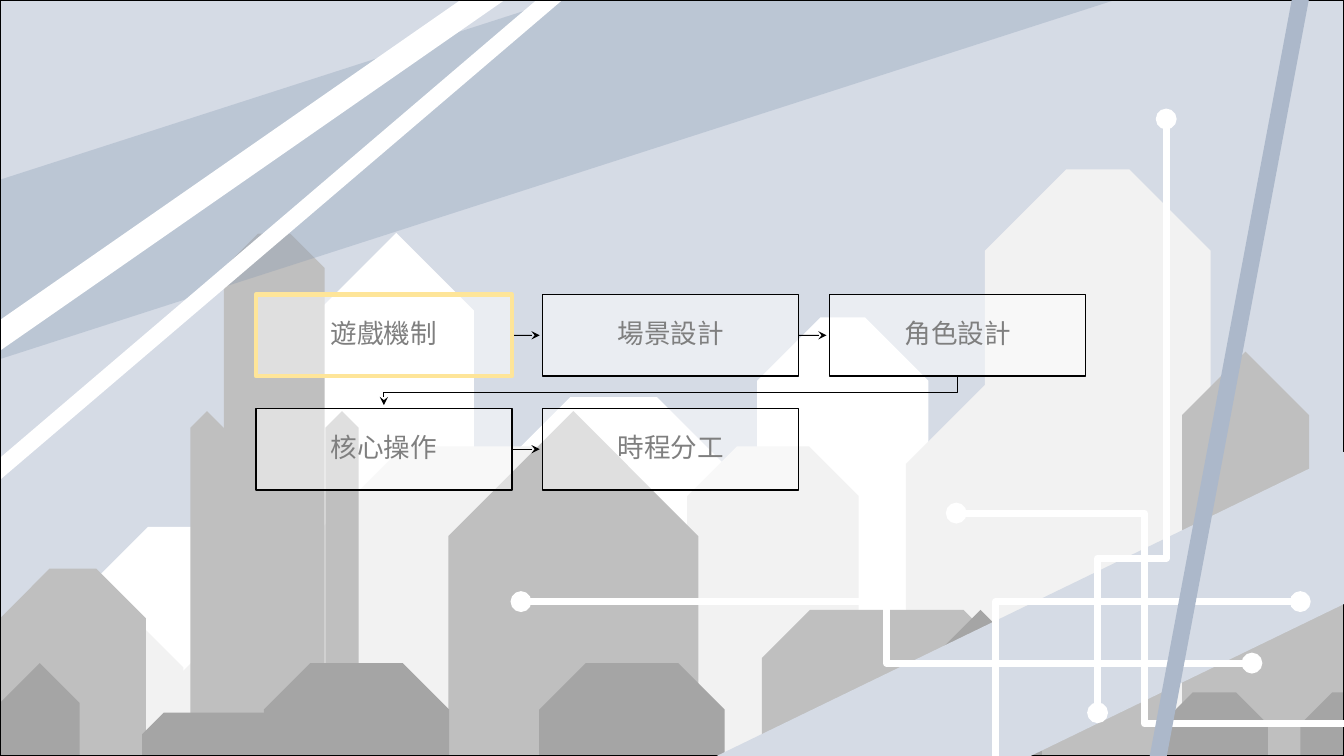
from dataclasses import dataclass

from lxml import etree
from pptx import Presentation
from pptx.dml.color import RGBColor
from pptx.enum.shapes import MSO_CONNECTOR, MSO_SHAPE
from pptx.enum.text import MSO_ANCHOR, PP_ALIGN
from pptx.oxml.ns import qn
from pptx.shapes.autoshape import Shape
from pptx.shapes.connector import Connector
from pptx.slide import Slide
from pptx.util import Cm, Pt

SKY = RGBColor(0xD5, 0xDB, 0xE5)
HAZE = RGBColor(0x82, 0x96, 0xB0)
BEAM = RGBColor(0xAC, 0xB8, 0xCA)
WHITE = RGBColor(0xFF, 0xFF, 0xFF)
PALE = RGBColor(0xF2, 0xF2, 0xF2)
GREY = RGBColor(0xBF, 0xBF, 0xBF)
DARK = RGBColor(0xA5, 0xA5, 0xA5)
BLACK = RGBColor(0x00, 0x00, 0x00)
TEXT = RGBColor(0x7F, 0x7F, 0x7F)
HIGHLIGHT = RGBColor(0xFE, 0xE5, 0x99)

FONT = "Noto Sans CJK TC"
PAGE_WIDTH, PAGE_HEIGHT = 33.87, 19.05
BOX_WIDTH, BOX_HEIGHT = 6.45, 2.06
BOX_LEFT, BOX_TOP = 6.45, 7.42
COLUMN_PITCH, ROW_PITCH, COLUMNS = 7.23, 2.87, 3
ARROW_GAP = 0.08
STEPS = ["遊戲機制", "場景設計", "角色設計", "核心操作", "時程分工"]


@dataclass
class Area:
    left: float
    top: float
    width: float
    height: float


@dataclass
class Building:
    left: float
    top: float
    width: float
    snip: float = 0.5


@dataclass
class Stripe:
    area: Area
    cut: float
    color: RGBColor
    opacity: int = 100
    rotation: int = 0


@dataclass
class Route:
    x1: float
    y1: float
    x2: float
    y2: float
    color: RGBColor
    weight: float
    head: str = "none"
    tail: str = "none"
    bend: float | None = None
    upright: bool = False


SKYLINE = [
    (WHITE, [Building(31.72, 15.7, 2.13), Building(28.93, 10.34, 3.05, 0.33),
             Building(19.08, 8, 4.32, 0.37), Building(11.25, 10.01, 8.43, 0.37),
             Building(8.03, 5.87, 3.91), Building(2.31, 13.28, 4.57, 0.31)]),
    (PALE, [Building(22.83, 9.53, 4.32), Building(28.14, 11.25, 3.66, 0.36),
            Building(24.82, 4.27, 5.69, 0.36), Building(17.32, 11.25, 4.32, 0.29),
            Building(7.9, 11.25, 8.23, 0.29), Building(4.14, 15.72, 4.57),
            Building(0.05, 15.72, 4.57, 0.33)]),
    (GREY, [Building(29.82, 12.32, 7.24, 0.42), Building(25.48, 15.37, 3.91, 0.33),
            Building(29.79, 8.86, 3.2), Building(19.2, 15.37, 6.3, 0.33),
            Building(11.3, 10.36, 6.3), Building(8.2, 10.36, 0.84),
            Building(5.64, 5.89, 2.54, 0.34), Building(4.8, 10.36, 0.84),
            Building(0, 14.33, 3.68, 0.34)]),
    (DARK, [Building(32.77, 17.45, 5.56), Building(29.26, 17.45, 2.69),
            Building(23.16, 15.37, 3.1), Building(13.59, 16.71, 4.67),
            Building(21.11, 17.45, 2.51), Building(6.65, 16.71, 4.67),
            Building(3.58, 17.96, 3.89), Building(0, 16.71, 2.01)]),
]
SKY_STRIPES = [
    Stripe(Area(0, 0, 11.23, 3.86), 0, SKY),
    Stripe(Area(0.03, 0, 28.07, 9.04), 0.5, HAZE, 30),
]
ROAD = Stripe(Area(18.06, 11.38, 15.82, 7.67), 0.5, SKY, rotation=180)
RAYS = [
    Route(14.35, -0.43, -0.23, 12.01, WHITE, 12),
    Route(12.78, -0.43, -0.23, 8.61, WHITE, 18),
]
CIRCUITS = [
    Route(32.77, 15.16, 21.64, 19.74, WHITE, 5, "oval", "oval", 0.69),
    Route(13.13, 15.16, 31.55, 16.71, WHITE, 5, "oval", "oval", 0.5),
    Route(29.39, 3, 27.66, 17.96, WHITE, 5, "oval", "oval", 0.74, True),
    Route(24.1, 12.93, 35.13, 18.24, WHITE, 5, "oval", "oval", 0.43),
]
CROSSBEAM = Route(33.05, -1.5, 29.06, 19.74, BEAM, 12)


def add_figure(page: Slide, kind: MSO_SHAPE, area: Area, fill: RGBColor | None = None,
               opacity: int = 100, line: RGBColor | None = None, weight: float = 1) -> Shape:
    figure = page.shapes.add_shape(kind, Cm(area.left), Cm(area.top), Cm(area.width), Cm(area.height))
    figure.shadow.inherit = False
    if fill is None:
        figure.fill.background()
    else:
        figure.fill.solid()
        figure.fill.fore_color.rgb = fill
        if opacity < 100:
            color = figure.element.spPr.find(qn("a:solidFill"))[0]
            etree.SubElement(color, qn("a:alpha"), val=str(opacity * 1000))
    if line is None:
        figure.line.fill.background()
    else:
        figure.line.color.rgb = line
        figure.line.width = Pt(weight)
    return figure


def add_building(page: Slide, building: Building, color: RGBColor) -> None:
    area = Area(building.left, building.top, building.width, PAGE_HEIGHT - building.top)
    figure = add_figure(page, MSO_SHAPE.SNIP_2_SAME_RECTANGLE, area, color)
    figure.adjustments[0] = building.snip
    figure.adjustments[1] = 0


def add_stripe(page: Slide, stripe: Stripe) -> None:
    figure = add_figure(page, MSO_SHAPE.DIAGONAL_STRIPE, stripe.area, stripe.color, stripe.opacity)
    figure.adjustments[0] = stripe.cut
    figure.rotation = stripe.rotation


def add_route(page: Slide, route: Route) -> Connector:
    x1, y1, x2, y2 = route.x1, route.y1, route.x2, route.y2
    if route.upright:
        middle_x, middle_y = (x1 + x2) / 2, (y1 + y2) / 2
        half_length, half_span = (y2 - y1) / 2, (x1 - x2) / 2
        x1, x2 = middle_x - half_length, middle_x + half_length
        y1, y2 = middle_y - half_span, middle_y + half_span
    kind = MSO_CONNECTOR.STRAIGHT if route.bend is None else MSO_CONNECTOR.ELBOW
    connector = page.shapes.add_connector(kind, Cm(x1), Cm(y1), Cm(x2), Cm(y2))
    connector.line.color.rgb = route.color
    connector.line.width = Pt(route.weight)
    properties = connector.element.spPr
    if route.upright:
        properties.find(qn("a:xfrm")).set("rot", "5400000")
    if route.bend is not None:
        guides = properties.find(qn("a:prstGeom")).find(qn("a:avLst"))
        etree.SubElement(guides, qn("a:gd"), name="adj1", fmla=f"val {round(route.bend * 100000)}")
    outline = properties.find(qn("a:ln"))
    etree.SubElement(outline, qn("a:headEnd"), type=route.head)
    etree.SubElement(outline, qn("a:tailEnd"), type=route.tail)
    etree.SubElement(properties, qn("a:effectLst"))
    return connector


def step_area(index: int) -> Area:
    row, column = divmod(index, COLUMNS)
    return Area(BOX_LEFT + column * COLUMN_PITCH, BOX_TOP + row * ROW_PITCH, BOX_WIDTH, BOX_HEIGHT)


def add_step(page: Slide, area: Area, title: str) -> Shape:
    box = add_figure(page, MSO_SHAPE.RECTANGLE, area, WHITE, 50, BLACK)
    frame = box.text_frame
    frame.margin_left = frame.margin_right = frame.margin_top = frame.margin_bottom = Cm(0.38)
    frame.word_wrap = True
    frame.vertical_anchor = MSO_ANCHOR.MIDDLE
    frame.text = title
    para = frame.paragraphs[0]
    para.alignment = PP_ALIGN.CENTER
    para.line_spacing = 0.9
    span = para.runs[0]
    span.font.size = Pt(19)
    span.font.name = FONT
    span.font.color.rgb = TEXT
    etree.SubElement(span.font._element, qn("a:ea"), typeface=FONT)
    return box


def add_step_arrow(page: Slide, box: Shape, start: Area, end: Area) -> None:
    if start.top == end.top:
        y = start.top + BOX_HEIGHT / 2
        arrow = add_route(page, Route(start.left + BOX_WIDTH, y, end.left - ARROW_GAP, y,
                                      BLACK, 0.75, tail="stealth"))
        arrow.begin_connect(box, 3)
    else:
        add_route(page, Route(start.left + BOX_WIDTH / 2, start.top + BOX_HEIGHT,
                              end.left + BOX_WIDTH / 2, end.top - ARROW_GAP,
                              BLACK, 0.75, tail="stealth", bend=0.56, upright=True))


def main() -> None:
    deck = Presentation()
    deck.slide_width, deck.slide_height = Cm(PAGE_WIDTH), Cm(PAGE_HEIGHT)
    page = deck.slides.add_slide(deck.slide_layouts[6])
    page.background.fill.solid()
    page.background.fill.fore_color.rgb = SKY
    for color, buildings in SKYLINE:
        for building in buildings:
            add_building(page, building, color)
    for stripe in SKY_STRIPES:
        add_stripe(page, stripe)
    for ray in RAYS:
        add_route(page, ray)
    add_figure(page, MSO_SHAPE.RECTANGLE, Area(0, 0, PAGE_WIDTH, PAGE_HEIGHT), line=BLACK)
    add_stripe(page, ROAD)
    for circuit in CIRCUITS:
        add_route(page, circuit)
    areas = [step_area(index) for index in range(len(STEPS))]
    boxes = [add_step(page, area, title) for area, title in zip(areas, STEPS)]
    for box, start, end in zip(boxes, areas, areas[1:]):
        add_step_arrow(page, box, start, end)
    add_route(page, CROSSBEAM)
    add_figure(page, MSO_SHAPE.RECTANGLE, areas[0], line=HIGHLIGHT, weight=3)
    deck.save("out.pptx")


if __name__ == "__main__":
    main()
